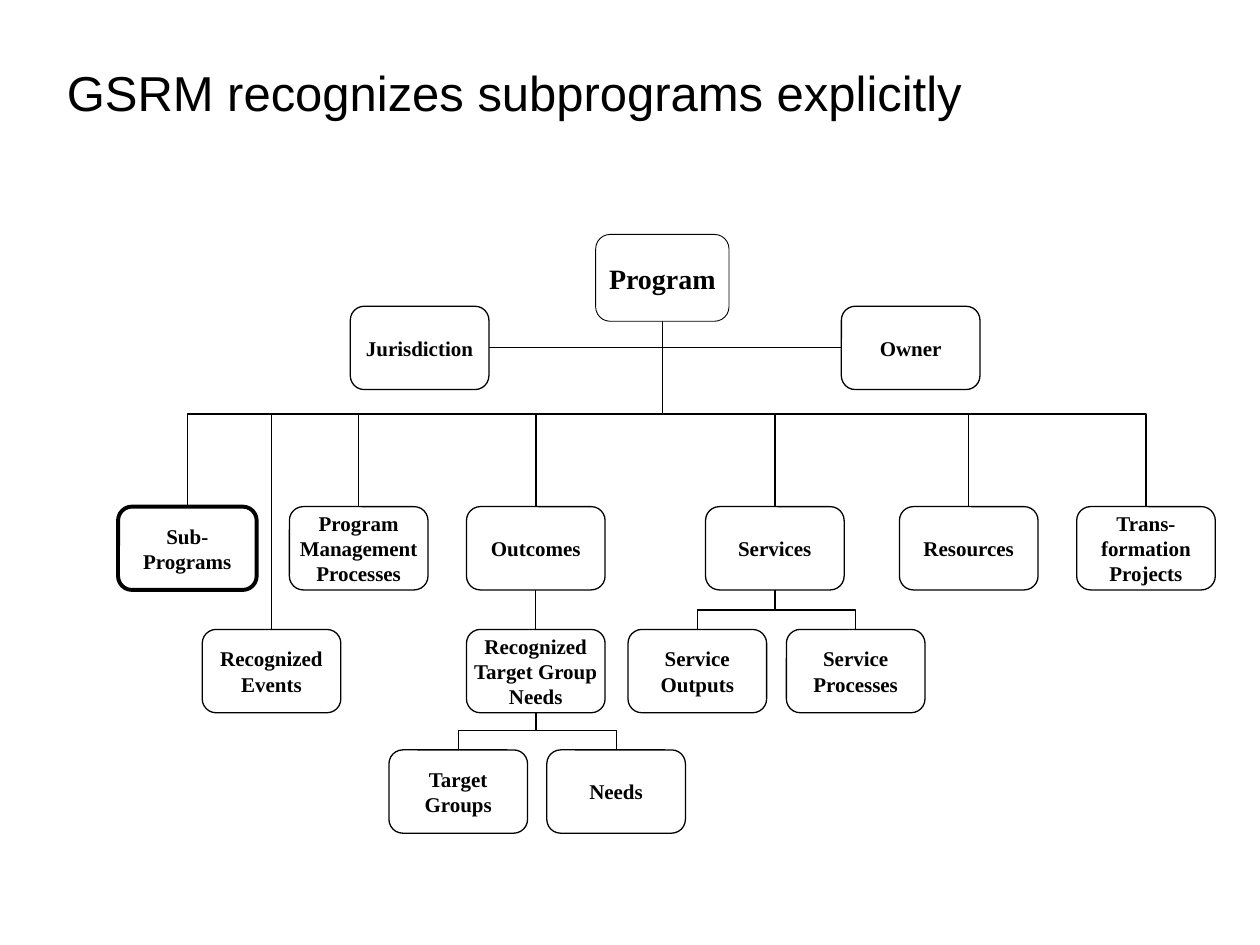
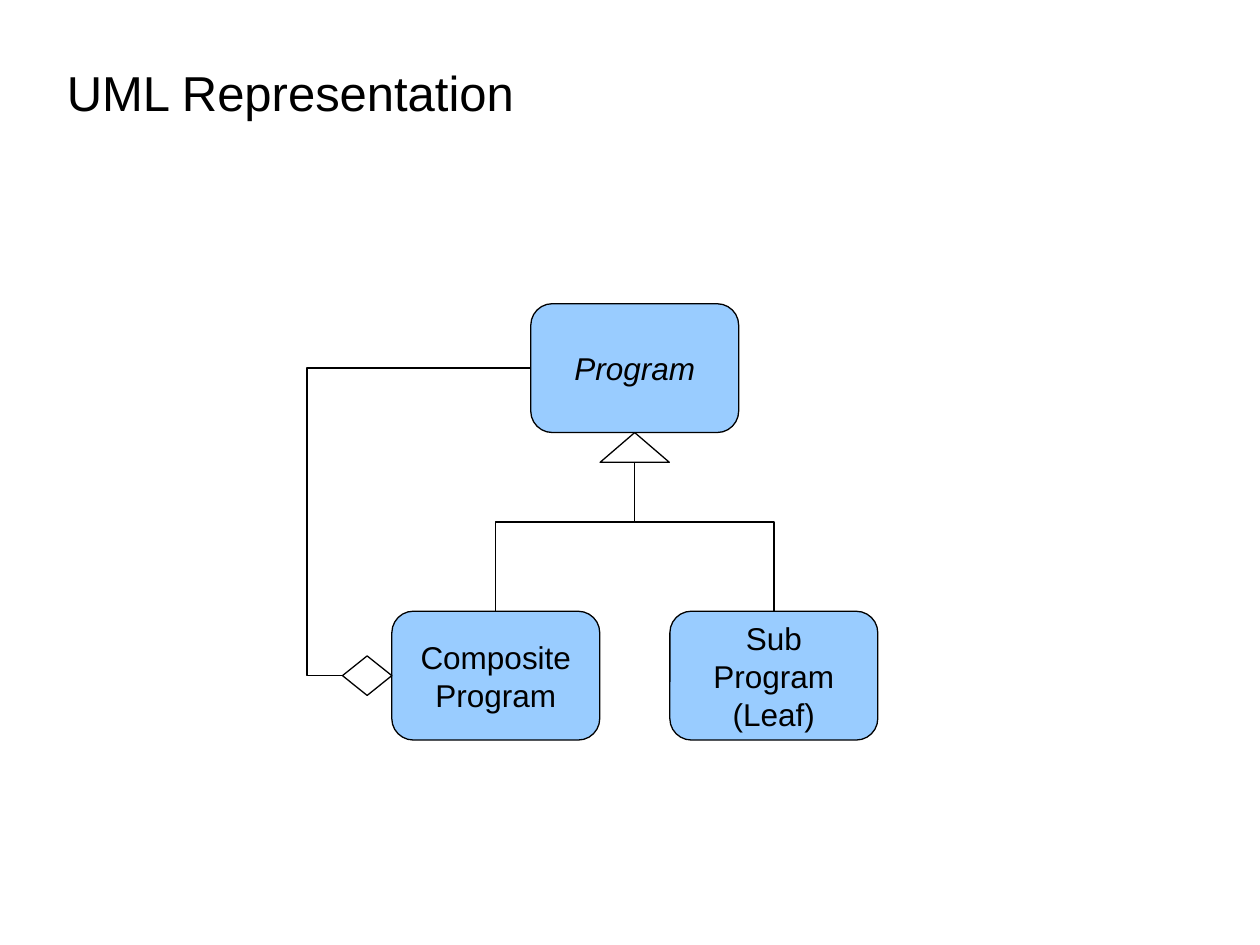
from collections import namedtuple

from lxml import etree
from pptx import Presentation
from pptx.dml.color import RGBColor
from pptx.enum.shapes import MSO_CONNECTOR, MSO_SHAPE
from pptx.enum.text import MSO_ANCHOR, PP_ALIGN
from pptx.oxml.ns import qn
from pptx.util import Pt

COLORS = {"ink": "000000", "paper": "FFFFFF", "uml": "99CCFF"}
THIN = 0.75

Style = namedtuple("Style", "width height font size bold italic fill line")
BRANCH = Style(79.2, 47.6, "Times New Roman", 12, True, False, None, THIN)
SUBPROGRAM = BRANCH._replace(fill="paper", line=2.25)
ROOT = BRANCH._replace(width=76.2, height=49.6, size=16, fill="paper", line=0.5)
UML_CLASS = Style(118.8, 73.6, "Arial", 18, False, False, "uml", THIN)
UML_ABSTRACT = UML_CLASS._replace(italic=True)

# Row tops of the program chart
ASPECTS, AREAS, DETAILS, PARTS = 175, 289.5, 359.7, 428.5

# key: (label, centre x, top, style)
PROGRAM_NODES = {
    "management": ("Program\nManagement\nProcesses", 205, AREAS, BRANCH),
    "subprograms": ("Sub-\nPrograms", 107.1, AREAS, SUBPROGRAM),
    "outcomes": ("Outcomes", 306.2, AREAS, BRANCH),
    "services": ("Services", 442.8, AREAS, BRANCH),
    "resources": ("Resources", 553.6, AREAS, BRANCH),
    "transformation": ("Trans-\nformation\nProjects", 654.9, AREAS, BRANCH),
    "jurisdiction": ("Jurisdiction", 239.8, ASPECTS, BRANCH),
    "owner": ("Owner", 520.4, ASPECTS, BRANCH),
    "events": ("Recognized\nEvents", 155.2, DETAILS, BRANCH),
    "group needs": ("Recognized\nTarget Group\nNeeds", 306.2, DETAILS, BRANCH),
    "outputs": ("Service\nOutputs", 398.5, DETAILS, BRANCH),
    "service processes": ("Service\nProcesses", 489, DETAILS, BRANCH),
    "target groups": ("Target\nGroups", 261.9, PARTS, BRANCH),
    "needs": ("Needs", 352.1, PARTS, BRANCH),
    "program": ("Program", 378.5, 134, ROOT),
}
# (parent, height of the shared crossbar, children)
PROGRAM_BRANCHES = [
    ("program", 236.7, ["subprograms", "events", "management", "outcomes",
                        "services", "resources", "transformation"]),
    ("services", 348.6, ["outputs", "service processes"]),
    ("group needs", 417.4, ["target groups", "needs"]),
]

UML_NODES = {
    "program": ("Program", 362.7, 173.6, UML_ABSTRACT),
    "composite": ("Composite\nProgram", 283.3, 349.3, UML_CLASS),
    "leaf": ("Sub\nProgram\n(Leaf)", 442.2, 349.3, UML_CLASS),
}
UML_BRANCHES = [("program", 298.3, ["composite", "leaf"])]
LOOP_X = 175.4


def rgb(name):
    return RGBColor.from_string(COLORS[name])


def top(node):
    return node[1], node[2]


def bottom(node):
    return node[1], node[2] + node[3].height


def side(node, direction):
    """Middle of the left (-1) or right (1) edge."""
    _, centre, y, style = node
    return centre + direction * style.width / 2, y + style.height / 2


def add_titled_slide(prs, title):
    slide = prs.slides.add_slide(prs.slide_layouts[5])
    holder = slide.shapes.title
    holder.left, holder.top, holder.width, holder.height = map(Pt, (31, 15, 600, 75))
    frame = holder.text_frame
    frame.text = title
    frame.vertical_anchor = MSO_ANCHOR.MIDDLE
    paragraph = frame.paragraphs[0]
    paragraph.alignment = PP_ALIGN.LEFT
    font = paragraph.runs[0].font
    font.name, font.size = "Arial", Pt(28)
    font.color.rgb = rgb("ink")
    return slide


def add_outlined(slide, preset, x, y, width, height, fill="paper", line=THIN):
    shape = slide.shapes.add_shape(preset, Pt(x), Pt(y), Pt(width), Pt(height))
    shape.shadow.inherit = False
    if fill:
        shape.fill.solid()
        shape.fill.fore_color.rgb = rgb(fill)
    else:
        shape.fill.background()
    shape.line.color.rgb = rgb("ink")
    shape.line.width = Pt(line)
    return shape


def add_node(slide, label, centre, y, style):
    box = add_outlined(slide, MSO_SHAPE.ROUNDED_RECTANGLE, centre - style.width / 2, y,
                       style.width, style.height, style.fill, style.line)
    frame = box.text_frame
    frame.word_wrap = False
    frame.vertical_anchor = MSO_ANCHOR.MIDDLE
    frame.text = label
    for paragraph in frame.paragraphs:
        paragraph.alignment = PP_ALIGN.CENTER
        font = paragraph.runs[0].font
        font.name, font.size = style.font, Pt(style.size)
        font.bold, font.italic = style.bold, style.italic
        font.color.rgb = rgb("ink")


def add_link(slide, start, end, kind=MSO_CONNECTOR.ELBOW, bend=None):
    """Bend is the share of the way at which an elbow turns."""
    link = slide.shapes.add_connector(kind, *map(Pt, (*start, *end)))
    link.line.color.rgb = rgb("ink")
    link.line.width = Pt(THIN)
    properties = link._element.spPr
    etree.SubElement(properties, qn("a:effectLst"))
    if bend is not None:
        guides = properties.find(qn("a:prstGeom")).get_or_add_avLst()
        etree.SubElement(guides, qn("a:gd"), name="adj1", fmla=f"val {round(bend * 100000)}")
    return link


def add_corner_link(slide, start, end):
    """One turn: across first, then up."""
    link = add_link(slide, start, end)
    link._element.spPr.find(qn("a:prstGeom")).set("prst", "bentConnector2")


def add_rising_link(slide, child, parent, bar_y):
    """Elbow that leaves the child upwards: a sideways elbow, given a quarter turn."""
    (x1, y1), (x2, y2) = child, parent
    mid_x, mid_y = (x1 + x2) / 2, (y1 + y2) / 2
    turn = 1 if x1 < x2 else -1
    across, down = turn * (y1 - mid_y), turn * (x1 - mid_x)
    link = add_link(slide, (mid_x + across, mid_y - down), (mid_x - across, mid_y + down),
                    bend=(y1 - bar_y) / (y1 - y2))
    link._element.spPr.find(qn("a:xfrm")).set("rot", str(turn * 90 % 360 * 60000))


def add_tree(slide, nodes, branches):
    for parent, bar_y, children in branches:
        for child in children:
            add_rising_link(slide, top(nodes[child]), bottom(nodes[parent]), bar_y)
    for node in nodes.values():
        add_node(slide, *node)


def build_program_slide(prs):
    slide = add_titled_slide(prs, "GSRM recognizes subprograms explicitly")
    nodes = PROGRAM_NODES
    for aspect, direction in (("jurisdiction", 1), ("owner", -1)):
        add_corner_link(slide, side(nodes[aspect], direction), bottom(nodes["program"]))
    add_link(slide, top(nodes["group needs"]), bottom(nodes["outcomes"]),
             MSO_CONNECTOR.STRAIGHT)
    add_tree(slide, nodes, PROGRAM_BRANCHES)


def build_uml_slide(prs):
    slide = add_titled_slide(prs, "UML Representation")
    add_tree(slide, UML_NODES, UML_BRANCHES)

    tip_x, tip_y = bottom(UML_NODES["program"])
    add_outlined(slide, MSO_SHAPE.ISOSCELES_TRIANGLE, tip_x - 19.8, tip_y, 39.6, 17)

    start, end = side(UML_NODES["program"], -1), side(UML_NODES["composite"], -1)
    add_link(slide, start, end, bend=(start[0] - LOOP_X) / (start[0] - end[0]))
    add_outlined(slide, MSO_SHAPE.DIAMOND, end[0] - 28.2, end[1] - 11.3, 28.2, 22.6)


def main():
    prs = Presentation()
    prs.slide_width, prs.slide_height = Pt(720), Pt(540)
    build_program_slide(prs)
    build_uml_slide(prs)
    prs.save("out.pptx")


if __name__ == "__main__":
    main()
